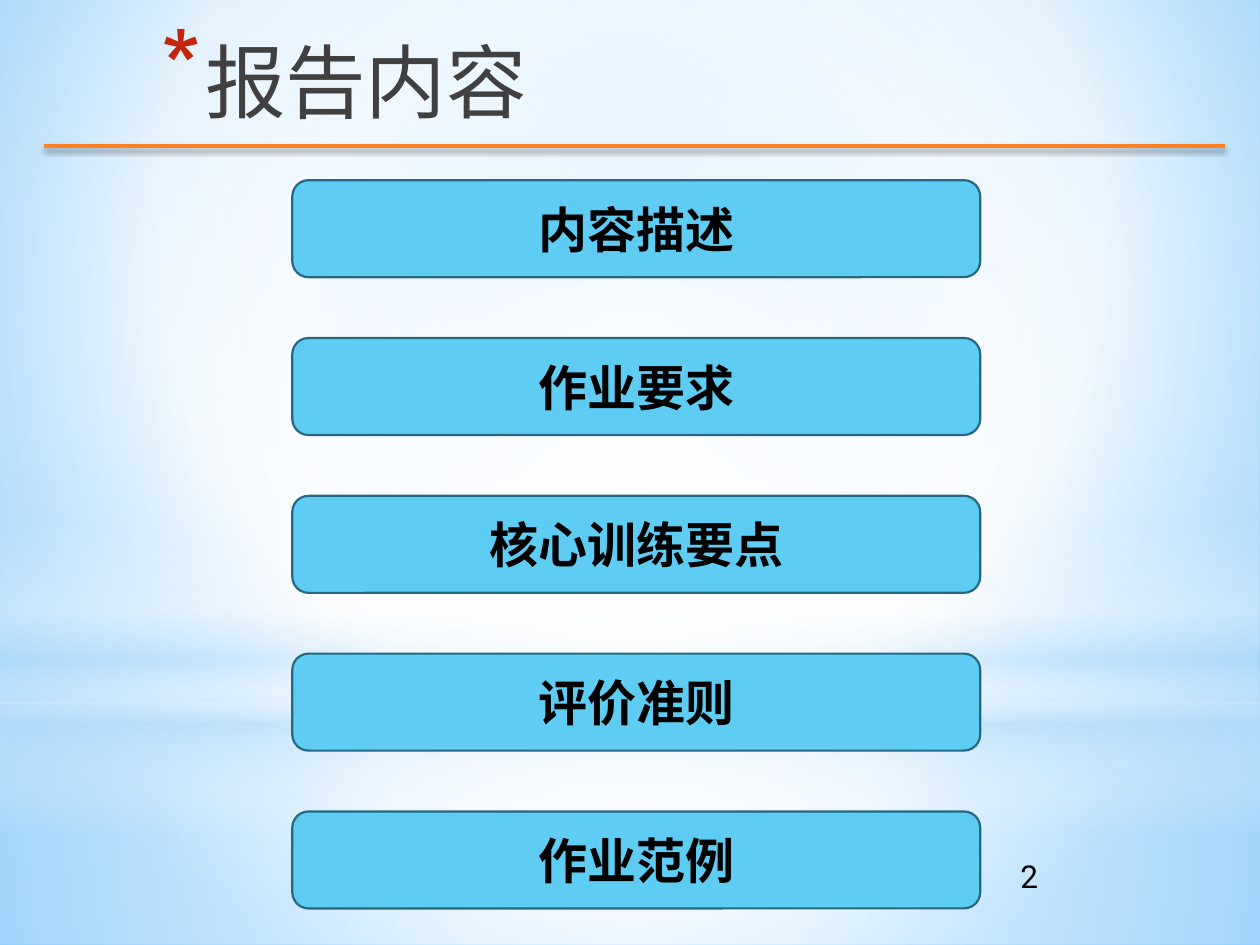
import dataclasses
import typing

import lxml.etree
import pptx
import pptx.dml.color
import pptx.enum.shapes
import pptx.enum.text
import pptx.oxml.ns
import pptx.util

SHAPES = pptx.enum.shapes.MSO_SHAPE
MIDDLE = pptx.enum.text.MSO_ANCHOR.MIDDLE
CENTER = pptx.enum.text.PP_ALIGN.CENTER
WIDTH, HEIGHT = pptx.util.Inches(10), pptx.util.Inches(7.5)
CHINESE, LATIN = "Noto Sans CJK SC", "Roboto"


class Region(typing.NamedTuple):
    """A place given in percent of the slide's width and height."""

    left: float
    top: float
    width: float
    height: float

    def lengths(self) -> list[int]:
        """Return left, top, width and height as slide lengths."""
        return [round(side * share / 100) for side, share in zip((WIDTH, HEIGHT) * 2, self)]


class Stop(typing.NamedTuple):
    """A gradient stop with position and opacity in percent."""

    position: int
    color: str
    opacity: int = 100


@dataclasses.dataclass(frozen=True)
class Gradient:
    """A gradient that is linear downwards unless it has a focus."""

    stops: tuple[Stop, ...]
    focus: tuple[int, ...] = ()


@dataclasses.dataclass(frozen=True)
class Glow:
    """A background shape with a gradient."""

    kind: SHAPES
    region: Region
    gradient: Gradient


MIDPOINT = (50, 50, 50, 50)
BACKDROP = Gradient(
    (Stop(0, "9ED5FF"), Stop(60, "FFFFFF"), Stop(100, "5BB9FF")), (20, 10, 20, 60)
)
TITLE_INK = Gradient((Stop(0, "000000"), Stop(40, "404040"), Stop(100, "212745", 65)))
GLOWS = (
    Glow(SHAPES.RECTANGLE, Region(0, 74.4, 100, 25.6), Gradient(
        (Stop(0, "FFFFFF", 91), Stop(37, "FFFFFF", 76), Stop(100, "B4DCFA", 79)), MIDPOINT)),
    Glow(SHAPES.RECTANGLE, Region(0, 0, 100, 74.4), Gradient(
        (Stop(0, "FFFFFF", 89), Stop(48, "FFFFFF", 62), Stop(100, "B4DCFA", 79)), MIDPOINT)),
    Glow(SHAPES.RECTANGLE, Region(0, 54.93, 100, 33.33), Gradient(
        (Stop(0, "FFFFFF", 0), Stop(29, "FFFFFF", 30), Stop(45, "B4DCFA", 40),
         Stop(55, "FFFFFF", 26), Stop(65, "B4DCFA", 60), Stop(100, "FFFFFF", 0)))),
    Glow(SHAPES.OVAL, Region(0, 23.33, 100, 74.4), Gradient(
        (Stop(0, "FFFFFF"), Stop(56, "FFFFFF", 0)), MIDPOINT)),
)
TOPICS = ("内容描述", "作业要求", "核心训练要点", "评价准则", "作业范例")
FIRST_TOPIC, TOPIC_STEP = Region(23.2, 19.07, 54.6, 10.27), 16.7


def rgb(color: str) -> pptx.dml.color.RGBColor:
    """Turn a hex string into a colour."""
    return pptx.dml.color.RGBColor.from_string(color)


def add_element(parent, tag: str, **attributes):
    """Append a drawing element to its parent."""
    values = {name: str(value) for name, value in attributes.items()}
    return lxml.etree.SubElement(parent, pptx.oxml.ns.qn(tag), values)


def add_color(parent, color: str, opacity: int = 100) -> None:
    """Append a colour with its opacity in percent."""
    element = add_element(parent, "a:srgbClr", val=color)
    if opacity < 100:
        add_element(element, "a:alpha", val=opacity * 1000)


def apply_gradient(fill, owner, gradient: Gradient) -> None:
    """Put a gradient in the place of the owner's fill."""
    fill.solid()
    solid = owner.find(".//" + pptx.oxml.ns.qn("a:solidFill"))
    element = lxml.etree.Element(pptx.oxml.ns.qn("a:gradFill"), rotWithShape="1")
    stops = add_element(element, "a:gsLst")
    for stop in gradient.stops:
        add_color(add_element(stops, "a:gs", pos=stop.position * 1000), stop.color, stop.opacity)
    if gradient.focus:
        shade = add_element(element, "a:path", path="circle")
        edges = {edge: share * 1000 for edge, share in zip("ltrb", gradient.focus)}
        add_element(shade, "a:fillToRect", **edges)
    else:
        add_element(element, "a:lin", ang=90 * 60000, scaled=0)
    solid.getparent().replace(solid, element)


def write(shape, text: str, typeface: str, size: float, **formats):
    """Write one paragraph in black into a shape and return its run."""
    frame = shape.text_frame
    frame.word_wrap = True
    run = frame.paragraphs[0].add_run()
    run.text = text
    values = {"name": typeface, "size": pptx.util.Pt(size), **formats}
    for name, value in values.items():
        setattr(run.font, name, value)
    run.font.color.rgb = rgb("000000")
    add_element(run.font._element, "a:ea", typeface=typeface)
    return run


def add_glow(slide, glow: Glow) -> None:
    """Draw a background shape."""
    shape = slide.shapes.add_shape(glow.kind, *glow.region.lengths())
    shape.shadow.inherit = False
    shape.line.fill.background()
    apply_gradient(shape.fill, shape._element.spPr, glow.gradient)


def add_rule(slide, region: Region) -> None:
    """Draw the orange line under the title with its shadow."""
    left, top, width, height = region.lengths()
    connector = slide.shapes.add_connector(
        pptx.enum.shapes.MSO_CONNECTOR.STRAIGHT, left, top, left + width, top + height
    )
    connector.line.color.rgb = rgb("FF8021")
    connector.line.width = pptx.util.Pt(2)
    effects = add_element(connector._element.spPr, "a:effectLst")
    shadow = add_element(
        effects, "a:outerShdw", blurRad=pptx.util.Pt(3.1), dist=pptx.util.Pt(1.8),
        dir=90 * 60000, rotWithShape=0,
    )
    add_color(shadow, "000000", 35)


def add_title(slide, text: str, region: Region) -> None:
    """Write the title behind its red asterisk."""
    shape = slide.shapes.add_textbox(*region.lengths())
    shape.text_frame.vertical_anchor = MIDDLE
    properties = shape.text_frame.paragraphs[0]._p.get_or_add_pPr()
    indent = pptx.util.Inches(0.35)
    properties.set("marL", str(indent))
    properties.set("indent", str(-indent))
    add_color(add_element(properties, "a:buClr"), "C3260C")
    add_element(properties, "a:buSzPct", val=128000)
    add_element(properties, "a:buChar", char="*")
    run = write(shape, text, CHINESE, 46)
    apply_gradient(run.font.fill, run.font._element, TITLE_INK)


def add_topic(slide, text: str, region: Region) -> None:
    """Draw a rounded box with a topic."""
    shape = slide.shapes.add_shape(SHAPES.ROUNDED_RECTANGLE, *region.lengths())
    shape.shadow.inherit = False
    shape.fill.solid()
    shape.fill.fore_color.rgb = rgb("5ECCF3")
    shape.line.color.rgb = rgb("256880")
    shape.line.width = pptx.util.Pt(1.25)
    shape.text_frame.vertical_anchor = MIDDLE
    shape.text_frame.paragraphs[0].alignment = CENTER
    write(shape, text, CHINESE, 28, bold=True)


def main() -> None:
    """Build and save the contents slide."""
    presentation = pptx.Presentation()
    presentation.slide_width, presentation.slide_height = WIDTH, HEIGHT
    slide = presentation.slides.add_slide(presentation.slide_layouts[6])
    apply_gradient(slide.background.fill, slide.element, BACKDROP)
    for glow in GLOWS:
        add_glow(slide, glow)
    add_rule(slide, Region(3.5, 15.47, 93.7, 0))
    number = slide.shapes.add_textbox(*Region(80, 90, 20, 5.33).lengths())
    write(number, "2", LATIN, 18)
    add_title(slide, "报告内容", Region(11.8, 3.33, 76.4, 10.27))
    for row, topic in enumerate(TOPICS):
        add_topic(slide, topic, FIRST_TOPIC._replace(top=FIRST_TOPIC.top + row * TOPIC_STEP))
    presentation.save("out.pptx")


if __name__ == "__main__":
    main()
